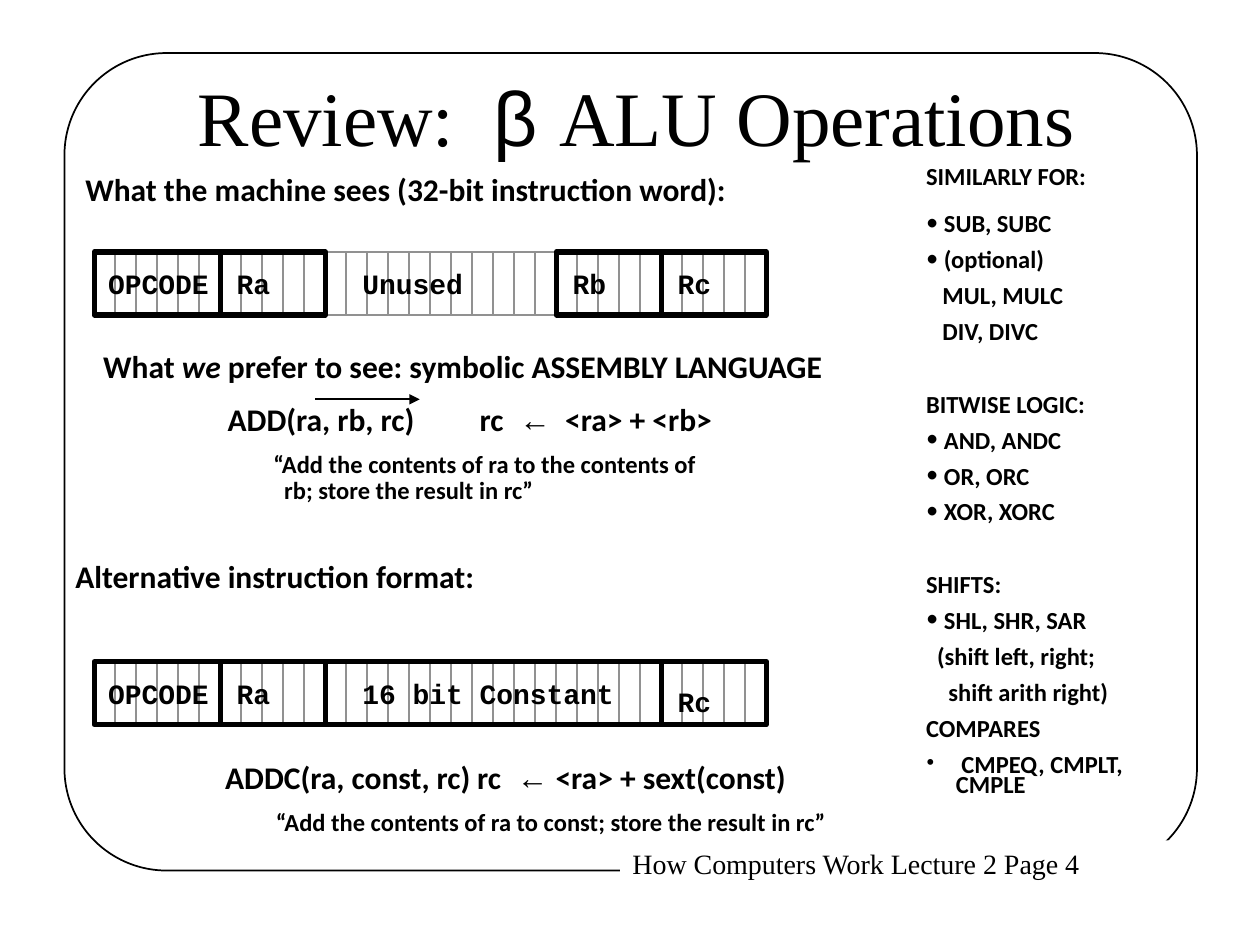
import pptx
import pptx.util
import pptx.dml.color
import pptx.enum.shapes
import pptx.enum.text
import lxml.etree

Cm, Pt = pptx.util.Cm, pptx.util.Pt
SHAPE = pptx.enum.shapes.MSO_SHAPE
COLORS = {"ink": "000000", "grid": "919191", "paper": "FFFFFF"}
COLORS = {name: pptx.dml.color.RGBColor.from_string(value) for name, value in COLORS.items()}
DRAWING = "{http://schemas.openxmlformats.org/drawingml/2006/main}"


def add_text(para, text, size=18, font="Calibri", bold=True, italic=False, spacing=0.9):
    para.line_spacing = spacing
    span = para.add_run()
    span.text = text
    span.font.size = Pt(size)
    span.font.name = font
    span.font.bold = bold
    span.font.italic = italic
    span.font.color.rgb = COLORS["ink"]


def add_outline(shapes, kind, left, top, width, height, color="ink", weight=1):
    shape = shapes.add_shape(kind, Cm(left), Cm(top), Cm(width), Cm(height))
    shape.shadow.inherit = False
    shape.fill.background()
    shape.line.color.rgb = COLORS[color]
    shape.line.width = Pt(weight)
    return shape


deck = pptx.Presentation()
deck.slide_width, deck.slide_height = Cm(25.4), Cm(19.05)
page = deck.slides.add_slide(deck.slide_layouts[5])

# Page frame and footer
frame = add_outline(page.shapes, SHAPE.ROUNDED_RECTANGLE, 1.3, 1.07, 22.83, 16.48)
frame.adjustments[0] = 0.125
footer = page.shapes.add_textbox(Cm(12.5), Cm(16.94), Cm(11.66), Cm(0.94))
footer.fill.solid()
footer.fill.fore_color.rgb = COLORS["paper"]
footer.text_frame.word_wrap = True
add_text(footer.text_frame.paragraphs[0], "How Computers Work Lecture 2 Page 4",
         size=16, font="Times New Roman", bold=False, spacing=1.0)

# Title
title = page.shapes.title
title.left, title.top, title.width, title.height = Cm(2.62), Cm(1.55), Cm(20.42), Cm(1.57)
title.text_frame.auto_size = pptx.enum.text.MSO_AUTO_SIZE.NONE
title.text_frame.vertical_anchor = pptx.enum.text.MSO_ANCHOR.MIDDLE
heading = title.text_frame.paragraphs[0]
heading.alignment = pptx.enum.text.PP_ALIGN.CENTER
for text, font in [("Review:  ", "Times New Roman"), ("β ", "Arial"),
                   ("ALU Operations", "Times New Roman")]:
    add_text(heading, text, size=44, font=font, bold=False, spacing=1.0)

# Statements: left, top, width, height, size, paragraphs of (text, format)
ARROW = (" ←", {"font": "Arial"})
statements = [
    (1.47, 3.38, 15.93, 0.94, 18, [[("What the machine sees (32-bit instruction word):", {})]]),
    (1.83, 6.96, 17.7, 0.94, 18, [[("What ", {}), ("we ", {"italic": True}),
                                   ("prefer to see: symbolic ASSEMBLY LANGUAGE", {})]]),
    (4.34, 8.03, 13.59, 0.94, 18, [[("ADD(ra, rb, rc)\t\trc ", {}), ARROW, ("  <ra> + <rb>", {})]]),
    (5.26, 8.99, 10.8, 1.32, 14, [[("“Add the contents of ra to the contents of", {})],
                                  [("rb; store the result in rc”", {})]]),
    (1.27, 11.2, 10.34, 0.94, 18, [[("Alternative instruction format:", {})]]),
    (4.29, 15.24, 15.49, 0.94, 18, [[("ADDC(ra, const, rc)\trc ", {}), ARROW,
                                     (" <ra> + sext(const)", {})]]),
    (5.31, 16.21, 13.92, 0.79, 14, [[("“Add the contents of ra to const; store the result in rc”", {})]]),
]
for left, top, width, height, size, lines in statements:
    box = page.shapes.add_textbox(Cm(left), Cm(top), Cm(width), Cm(height))
    box.text_frame.word_wrap = False
    for number, spans in enumerate(lines):
        para = box.text_frame.add_paragraph() if number else box.text_frame.paragraphs[0]
        for text, style in spans:
            add_text(para, text, size=size, **style)
        if number:
            para._p.get_or_add_pPr().set("marL", str(Cm(0.22)))

# Arrow over the operands
arrow = page.shapes.add_connector(pptx.enum.shapes.MSO_CONNECTOR.STRAIGHT,
                                  Cm(6.35), Cm(8.05), Cm(8.46), Cm(8.05))
arrow.line.color.rgb = COLORS["ink"]
arrow.line.width = Pt(1)
lxml.etree.SubElement(arrow.line._get_or_add_ln(), DRAWING + "tailEnd", type="triangle")
lxml.etree.SubElement(arrow._element.spPr, DRAWING + "effectLst")

# Side lists: top, height, lines of (text, indent, bullet font, space before)
GAP, SECTION = 8.8, 29.5
side_lists = [
    (3.18, 0.79, 0.9, [("SIMILARLY FOR:", 0, None, GAP)]),
    (4.24, 11.94, 0.7, [
        ("SUB, SUBC", 0.36, "Calibri", GAP),
        ("(optional)", 0.36, "Calibri", GAP),
        ("MUL, MULC", 0.33, None, GAP),
        ("DIV, DIVC", 0.33, None, GAP),
        ("BITWISE LOGIC:", 0, None, SECTION),
        ("AND, ANDC", 0.36, "Calibri", GAP),
        ("OR, ORC", 0.36, "Calibri", GAP),
        ("XOR, XORC", 0.36, "Calibri", GAP),
        ("SHIFTS:", 0, None, SECTION),
        ("SHL, SHR, SAR", 0.36, "Calibri", GAP),
        ("(shift left, right;", 0.22, None, GAP),
        ("shift arith right)", 0.45, None, GAP),
        ("COMPARES", 0, None, GAP),
        (" CMPEQ, CMPLT, CMPLE", 0.6, "Times New Roman", GAP),
    ]),
]
for top, height, spacing, lines in side_lists:
    box = page.shapes.add_textbox(Cm(18.42), Cm(top), Cm(5.74), Cm(height))
    box.text_frame.word_wrap = True
    for number, (text, indent, bullet_font, before) in enumerate(lines):
        para = box.text_frame.add_paragraph() if number else box.text_frame.paragraphs[0]
        add_text(para, text, size=14, spacing=spacing)
        para.space_before = Pt(before)
        props = para._p.get_or_add_pPr()
        props.set("marL", str(Cm(indent)))
        if bullet_font:
            props.set("indent", str(-Cm(indent)))
            lxml.etree.SubElement(props, DRAWING + "buFont", typeface=bullet_font)
            lxml.etree.SubElement(props, DRAWING + "buChar", char="•")

# Instruction words: fields of (label, bits, boxed, label shift, label drop)
BIT, WORD_LEFT, WORD_HEIGHT = 2.54 / 6, 1.9, 1.27
words = [
    (5.08, [("OPCODE", 6, True, 0.03, 0.25), ("Ra", 5, True, 0.08, 0.25),
            ("Unused", 11, False, 0.5, 0.25), ("Rb", 5, True, 0.08, 0.25),
            ("Rc", 5, True, 0.08, 0.25)]),
    (13.34, [("OPCODE", 6, True, 0.03, 0.25), ("Ra", 5, True, 0.08, 0.25),
             ("16 bit Constant", 16, True, 0.5, 0.25), ("Rc", 5, True, 0.08, 0.41)]),
]
for top, fields in words:
    word = page.shapes.add_group_shape()
    for bit in range(32):
        add_outline(word.shapes, SHAPE.RECTANGLE, WORD_LEFT + bit * BIT, top, BIT, WORD_HEIGHT, "grid")
    left = WORD_LEFT
    for label, bits, boxed, shift, drop in fields:
        if boxed:
            add_outline(word.shapes, SHAPE.RECTANGLE, left, top, bits * BIT, WORD_HEIGHT, weight=3)
        box = word.shapes.add_textbox(Cm(left + shift), Cm(top + drop),
                                      Cm(0.51 + 0.34 * len(label)), Cm(0.86))
        box.text_frame.word_wrap = False
        add_text(box.text_frame.paragraphs[0], label, size=16, font="Courier New")
        left += bits * BIT

deck.save("out.pptx")
